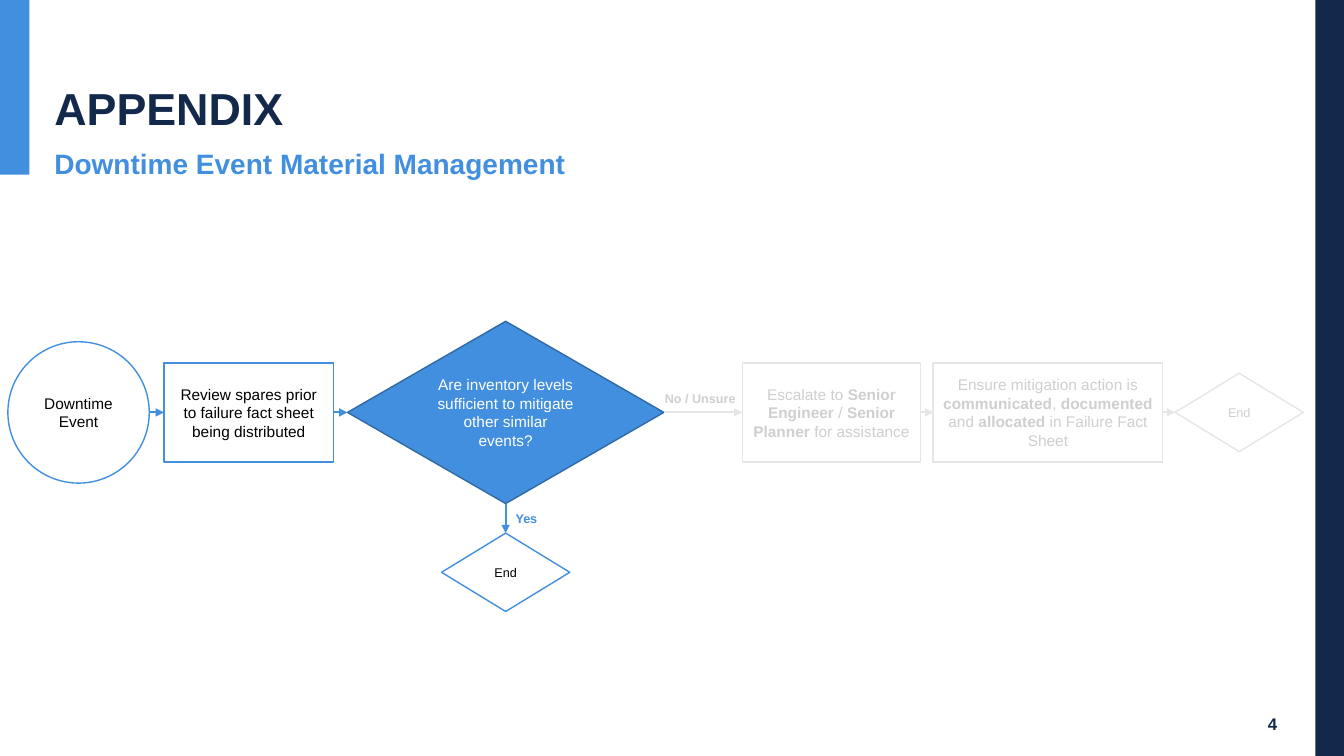
from lxml import etree
from pptx import Presentation
from pptx.dml.color import RGBColor
from pptx.enum import shapes, text
from pptx.oxml import ns
from pptx.util import Pt

NAVY = RGBColor(0x13, 0x29, 0x4B)
BLUE = RGBColor(0x41, 0x8F, 0xDE)
DEEP_BLUE = RGBColor(0x30, 0x6A, 0xA4)
PALE = RGBColor(0xE7, 0xE6, 0xE6)
GREY = RGBColor(0xD0, 0xCE, 0xCE)
BLACK = RGBColor(0, 0, 0)
WHITE = RGBColor(255, 255, 255)

FLOW_Y = 294.6  # centre line of the process
KIND = shapes.MSO_SHAPE
ALIGN = text.PP_ALIGN
ANCHOR = text.MSO_ANCHOR


def write(shape, words, size=11, color=BLACK, bold=False, align=ALIGN.CENTER,
          anchor=ANCHOR.MIDDLE, spacing=None, wrap=True):
    """Fill a shape with text; words between ** marks switch to bold."""
    frame = shape.text_frame
    frame.word_wrap = wrap
    frame.vertical_anchor = anchor
    para = frame.paragraphs[0]
    para.alignment = align
    if spacing:
        para.line_spacing = Pt(spacing)
    for index, part in enumerate(words.split("**")):
        span = para.add_run()
        span.text = part
        span.font.name = "Arial"
        span.font.size = Pt(size)
        span.font.bold = bold or index % 2 == 1
        span.font.color.rgb = color


def add_text(page, words, left, top, width, height, **style):
    box = page.shapes.add_textbox(Pt(left), Pt(top), Pt(width), Pt(height))
    write(box, words, **style)


def add_block(page, kind, left, top, width, height, fill=WHITE, line=None):
    block = page.shapes.add_shape(kind, Pt(left), Pt(top), Pt(width), Pt(height))
    block.shadow.inherit = False
    block.fill.solid()
    block.fill.fore_color.rgb = fill
    if line is None:
        block.line.fill.background()
    else:
        block.line.color.rgb = line
        block.line.width = Pt(1)
    return block


def add_step(page, kind, words, left, width, height, middle=FLOW_Y,
             fill=WHITE, line=BLUE, **style):
    step = add_block(page, kind, left, middle - height / 2, width, height, fill, line)
    write(step, words, **style)
    return step


def add_arrow(page, start, finish, color):
    arrow = page.shapes.add_connector(shapes.MSO_CONNECTOR.STRAIGHT, *start, *finish)
    arrow.line.color.rgb = color
    arrow.line.width = Pt(1.5)
    etree.SubElement(arrow.line._get_or_add_ln(), ns.qn("a:tailEnd"), type="triangle")
    etree.SubElement(arrow._element.spPr, ns.qn("a:effectLst"))


def add_arrow_across(page, source, target, color):
    add_arrow(page, (source.left + source.width, Pt(FLOW_Y)),
              (target.left, Pt(FLOW_Y)), color)


def add_frame(page):
    # Side bars, headings and page number
    add_block(page, KIND.RECTANGLE, 939.6, 0, 20.4, 540, NAVY)
    add_block(page, KIND.RECTANGLE, 0, 0, 21, 124.8, BLUE)
    add_text(page, "APPENDIX", 31.7, 17.3, 710, 82, size=32, color=NAVY, bold=True,
             align=ALIGN.LEFT, anchor=ANCHOR.BOTTOM, spacing=36)
    add_text(page, "Downtime Event Material Management", 31.7, 104.4, 710, 23.8,
             size=20, color=BLUE, bold=True, align=ALIGN.LEFT, spacing=24)
    add_text(page, "4", 882.7, 501.8, 52.6, 30.2, size=12, color=NAVY, bold=True)


def add_flow(page):
    # Active steps
    event = add_step(page, KIND.OVAL, "Downtime Event", 5.6, 101, 101)
    review = add_step(page, KIND.RECTANGLE,
                      "Review spares prior to failure fact sheet being distributed",
                      117.2, 121, 70.6)
    decision = add_step(page, KIND.DIAMOND,
                        "Are inventory levels sufficient to mitigate other similar events?",
                        248.2, 226, 130.2, fill=BLUE, line=DEEP_BLUE, color=WHITE)
    yes_end = add_step(page, KIND.DIAMOND, "End", 315.4, 91.6, 56, middle=408.8, size=9)

    # Faded steps
    faded = dict(line=PALE, color=GREY)
    escalate = add_step(page, KIND.RECTANGLE,
                        "Escalate to **Senior Engineer** / **Senior Planner** for assistance",
                        530.3, 127.4, 70.6, **faded)
    ensure = add_step(page, KIND.RECTANGLE,
                      "Ensure mitigation action is **communicated**, **documented**"
                      " and **allocated** in Failure Fact Sheet",
                      666.6, 164, 70.6, **faded)
    no_end = add_step(page, KIND.DIAMOND, "End", 839.4, 91.6, 56, size=9, **faded)

    # Arrows
    for source, target in ((event, review), (review, decision)):
        add_arrow_across(page, source, target, BLUE)
    for source, target in ((decision, escalate), (escalate, ensure), (ensure, no_end)):
        add_arrow_across(page, source, target, PALE)
    center = decision.left + decision.width // 2
    add_arrow(page, (center, decision.top + decision.height), (center, yes_end.top), BLUE)

    # Branch labels
    label = dict(size=9, bold=True, align=ALIGN.LEFT, anchor=ANCHOR.TOP, wrap=False)
    add_text(page, "No / Unsure", 467.8, 275.8, 69, 18, color=GREY, **label)
    add_text(page, "Yes", 361.2, 361.4, 33, 18, color=BLUE, **label)


def main():
    deck = Presentation()
    deck.slide_width, deck.slide_height = Pt(960), Pt(540)
    page = deck.slides.add_slide(deck.slide_layouts[6])
    add_frame(page)
    add_flow(page)
    deck.save("out.pptx")


if __name__ == "__main__":
    main()
